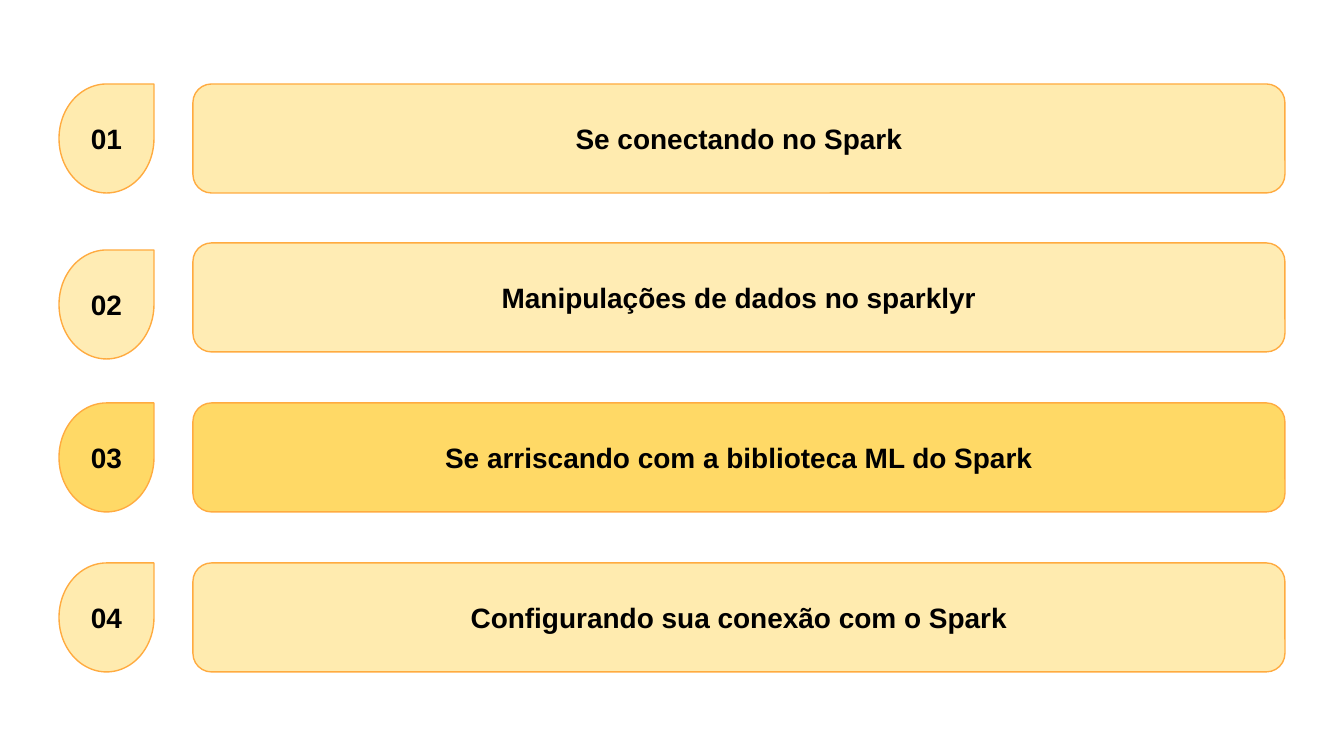
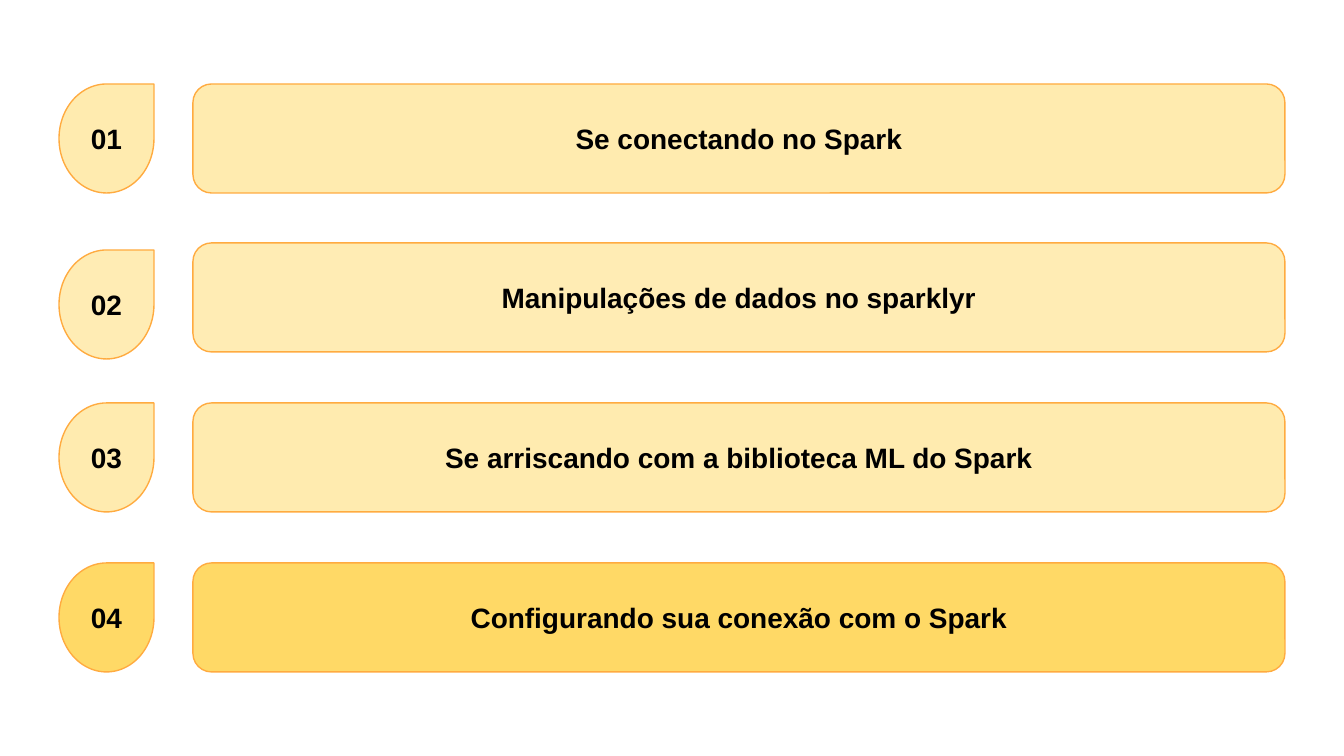
from lxml import etree
from pptx import Presentation
from pptx import util as u
from pptx.dml.color import RGBColor
from pptx.enum import shapes, text
from pptx.oxml.ns import qn

SCALE = 914400 / 134.4
SLIDE_WIDTH, SLIDE_HEIGHT = 1344, 756

YELLOW = RGBColor(0xFF, 0xD9, 0x66)
ORANGE = RGBColor(0xFF, 0xAB, 0x40)
BLACK = RGBColor(0x00, 0x00, 0x00)

FONT = "Arial"
INSET = 13
AGENDA_BOX = (59, 84, 1226, 588)
ROW_HEIGHT = 109
BADGE_WIDTH = 95
BAR_OFFSET = 134

TOPICS = [
    {"title": "Se conectando no Spark"},
    {"title": "Manipulações de dados no sparklyr", "opacity": 49, "badge_drop": 7},
    {"title": "Se arriscando com a biblioteca ML do Spark"},
    {"title": "Configurando sua conexão com o Spark"},
]


def px(length):
    return u.Emu(round(length * SCALE))


def write_text(shape, content, size=15, bold=True, color=BLACK, align=text.PP_ALIGN.CENTER):
    frame = shape.text_frame
    frame.word_wrap = True
    frame.vertical_anchor = text.MSO_ANCHOR.MIDDLE
    frame.margin_left = frame.margin_right = px(INSET)
    frame.margin_top = frame.margin_bottom = px(INSET)
    paragraph = frame.paragraphs[0]
    paragraph.alignment = align
    run = paragraph.add_run()
    run.text = content
    run.font.name = FONT
    run.font.size = u.Pt(size)
    run.font.bold = bold
    run.font.color.rgb = color


def set_opacity(shape, percent):
    color = shape._element.spPr.find(qn("a:solidFill")).find(qn("a:srgbClr"))
    etree.SubElement(color, qn("a:alpha")).set("val", str(percent * 1000))


def add_panel(slide, kind, box, content, adjustment, opacity):
    shape = slide.shapes.add_shape(kind, *map(px, box))
    shape.shadow.inherit = False
    shape.adjustments[0] = adjustment
    shape.fill.solid()
    shape.fill.fore_color.rgb = YELLOW
    if opacity < 100:
        set_opacity(shape, opacity)
    shape.line.color.rgb = ORANGE
    shape.line.width = u.Pt(0.75)
    write_text(shape, content)


def add_row(slide, box, number, topic, active):
    left, top, width, height = box
    opacity = 100 if active else topic.get("opacity", 52)
    bar = (left + BAR_OFFSET, top, width - BAR_OFFSET, height)
    badge = (left, top + topic.get("badge_drop", 0), BADGE_WIDTH, height)
    add_panel(slide, shapes.MSO_SHAPE.ROUNDED_RECTANGLE, bar, topic["title"], 0.17, opacity)
    add_panel(slide, shapes.MSO_SHAPE.TEAR, badge, f"{number:02d}", 1, opacity)


def add_agenda(slide, box, active_number):
    left, top, width, height = box
    span = height - ROW_HEIGHT
    for index, topic in enumerate(TOPICS):
        row_top = top + span * index // (len(TOPICS) - 1)
        row = (left, row_top, width, ROW_HEIGHT)
        add_row(slide, row, index + 1, topic, index + 1 == active_number)


def main():
    presentation = Presentation()
    presentation.slide_width = px(SLIDE_WIDTH)
    presentation.slide_height = px(SLIDE_HEIGHT)
    blank_layout = presentation.slide_layouts[6]
    for active_number in (3, 4):
        slide = presentation.slides.add_slide(blank_layout)
        add_agenda(slide, AGENDA_BOX, active_number)
    presentation.save("out.pptx")


if __name__ == "__main__":
    main()
